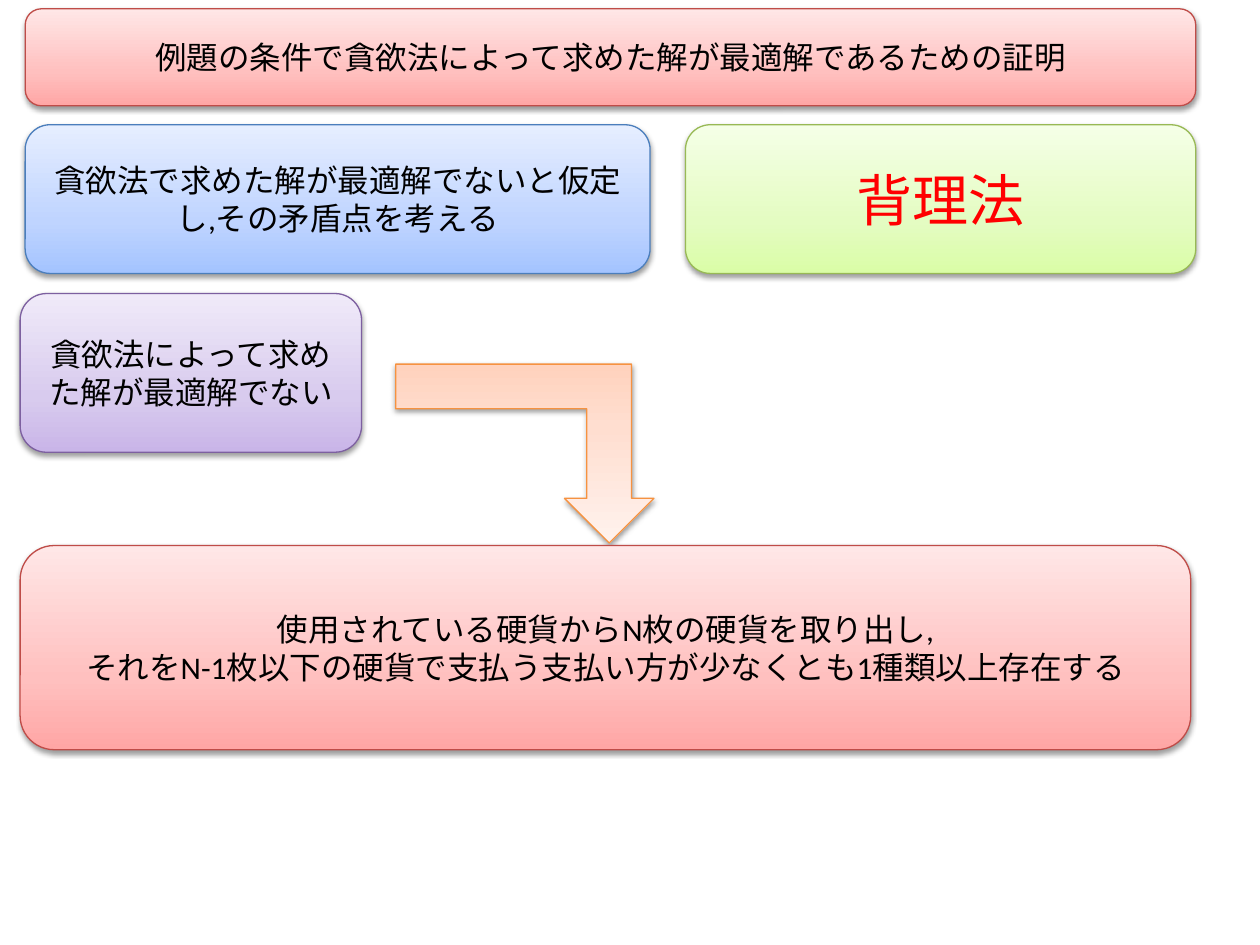
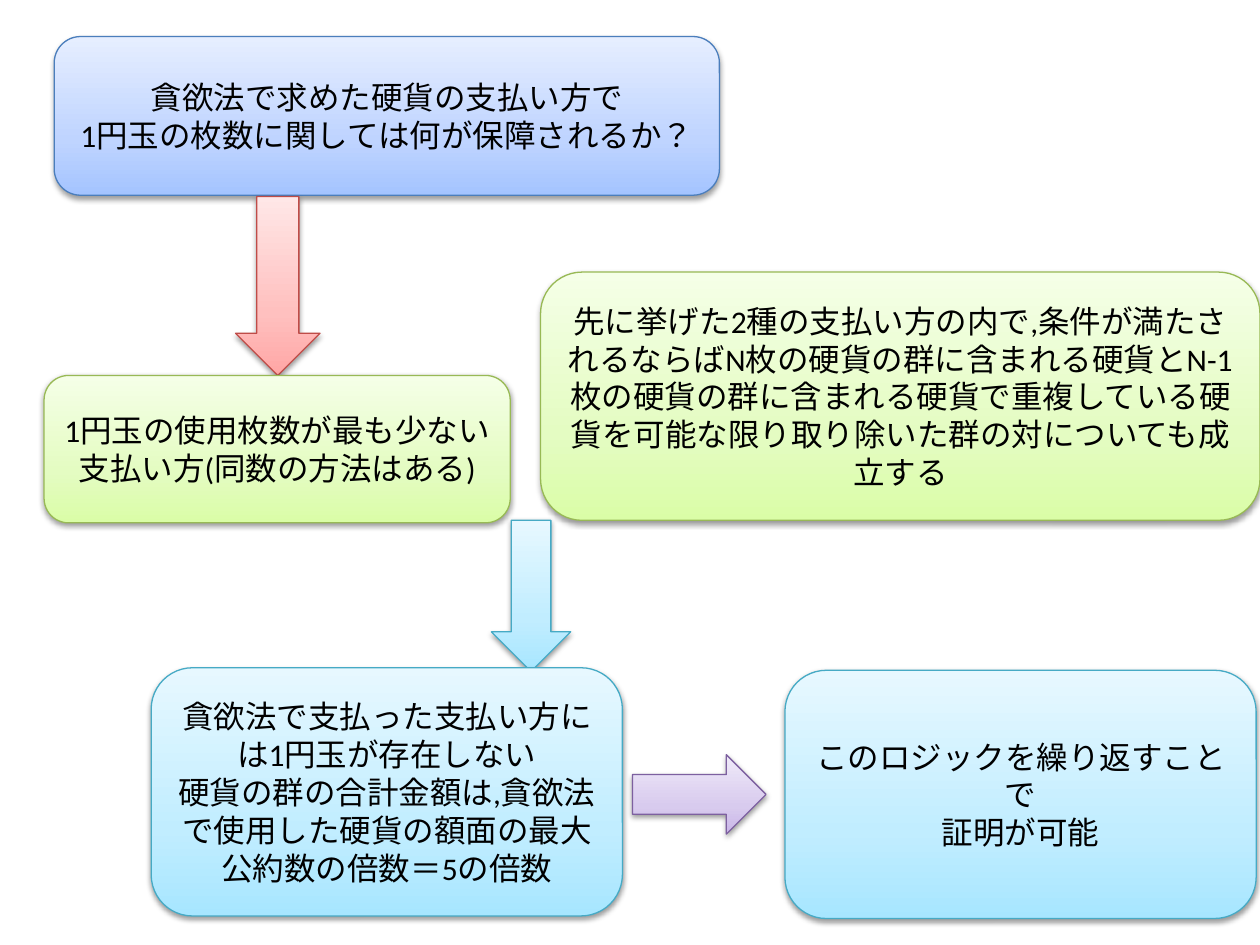
import copy

import pptx
import pptx.dml.color
import pptx.enum.lang
import pptx.enum.shapes
import pptx.enum.text
import pptx.oxml
import pptx.oxml.ns
import pptx.util

EMU_PER_PX = 9144  # 100 px to the inch
SLIDE_WIDTH, SLIDE_HEIGHT = 1000, 750
FONT = "Calibri"
BLANK_LAYOUT = 6
STOP_POSITIONS = (0, 35, 100)

# Gradient from bottom to top, then the outline
COLORS = {
    "red": ("FFA6A5", "FFC0BF", "FFE7E7", "BF4C48"),
    "blue": ("A4C4FF", "BFD4FF", "E6EEFF", "4B7EBC"),
    "purple": ("C9B5E8", "D8CBEE", "F0EAF9", "7D60A0"),
    "green": ("DAFDA7", "E4FCC2", "F5FFE7", "98B955"),
    "orange": ("FFD2BD", "FFDED0", "FFF2ED", "F69240"),
    "cyan": ("A7E6FF", "C1EDFF", "E7F8FF", "46AAC5"),
    "text": "000000",
    "emphasis": "FF0000",
}

SHADOW_XML = (
    f'<a:outerShdw {pptx.oxml.ns.nsdecls("a")} blurRad="40000" dist="20000" '
    'dir="5400000" rotWithShape="0"><a:srgbClr val="000000">'
    '<a:alpha val="38000"/></a:srgbClr></a:outerShdw>'
)

SHAPES = pptx.enum.shapes.MSO_SHAPE


def px(length):
    return pptx.util.Emu(length * EMU_PER_PX)


def rgb(value):
    return pptx.dml.color.RGBColor.from_string(value)


def write_text(shape, *lines, size=18, color="text"):
    """Write one centred paragraph for each line."""
    frame = shape.text_frame
    frame.word_wrap = True
    frame.vertical_anchor = pptx.enum.text.MSO_ANCHOR.MIDDLE
    for index, line in enumerate(lines):
        paragraph = frame.add_paragraph() if index else frame.paragraphs[0]
        paragraph.alignment = pptx.enum.text.PP_ALIGN.CENTER
        run = paragraph.add_run()
        run.text = line
        run.font.name = FONT
        run.font.size = pptx.util.Pt(size)
        run.font.color.rgb = rgb(COLORS[color])
        run.font.language_id = pptx.enum.lang.MSO_LANGUAGE_ID.JAPANESE


class ProofDeck:
    """Holds the shared style and the slide being drawn."""

    def __init__(self):
        self.presentation = pptx.Presentation()
        self.presentation.slide_width = px(SLIDE_WIDTH)
        self.presentation.slide_height = px(SLIDE_HEIGHT)
        self.slide = None

    def new_slide(self):
        layout = self.presentation.slide_layouts[BLANK_LAYOUT]
        self.slide = self.presentation.slides.add_slide(layout)

    def glossy_shape(self, kind, bounds, palette):
        """Add a preset shape with a three-stop gradient and a soft shadow."""
        shape = self.slide.shapes.add_shape(kind, *map(px, bounds))
        *stop_colors, outline = COLORS[palette]
        shape.fill.gradient()
        shape.fill.gradient_angle = 90
        properties = shape._element.spPr
        stop_list = properties.find(".//" + pptx.oxml.ns.qn("a:gsLst"))
        stop_list.append(copy.deepcopy(stop_list[-1]))
        stops = zip(shape.fill.gradient_stops, STOP_POSITIONS, stop_colors)
        for stop, position, color in stops:
            stop.position = position / 100
            stop.color.rgb = rgb(color)
        shape.line.color.rgb = rgb(outline)
        shape.line.width = pptx.util.Pt(0.75)
        shape.shadow.inherit = False
        effects = properties.find(pptx.oxml.ns.qn("a:effectLst"))
        effects.append(pptx.oxml.parse_xml(SHADOW_XML))
        return shape

    def card(self, bounds, palette, *lines, **text_format):
        shape = self.glossy_shape(SHAPES.ROUNDED_RECTANGLE, bounds, palette)
        write_text(shape, *lines, **text_format)

    def arrow(self, kind, bounds, palette, flipped=False):
        shape = self.glossy_shape(kind, bounds, palette)
        if flipped:
            shape._element.spPr.xfrm.set("flipV", "1")


def add_contradiction_slide(deck):
    deck.new_slide()
    deck.card((20, 7, 929, 77), "red",
              "例題の条件で貪欲法によって求めた解が最適解であるための証明")
    deck.card((20, 99, 496, 118), "blue",
              "貪欲法で求めた解が最適解でないと仮定し,その矛盾点を考える")
    deck.card((16, 233, 271, 126), "purple",
              "貪欲法によって求めた解が最適解でない")
    deck.card((544, 99, 405, 118), "green", "背理法",
              size=32, color="emphasis")
    deck.arrow(SHAPES.BENT_UP_ARROW, (314, 289, 205, 142), "orange",
               flipped=True)
    deck.card((16, 433, 929, 162), "red",
              "使用されている硬貨からN枚の硬貨を取り出し,",
              "それをN-1枚以下の硬貨で支払う支払い方が少なくとも1種類以上存在する")


def add_one_yen_slide(deck):
    deck.new_slide()
    deck.card((43, 29, 528, 126), "blue",
              "貪欲法で求めた硬貨の支払い方で",
              "1円玉の枚数に関しては何が保障されるか？")
    deck.arrow(SHAPES.DOWN_ARROW, (187, 156, 67, 142), "red")
    deck.card((35, 298, 370, 117), "green",
              "1円玉の使用枚数が最も少ない支払い方(同数の方法はある)")
    deck.card((429, 216, 571, 197), "green",
              "先に挙げた2種の支払い方の内で,条件が満たされるならば"
              "N枚の硬貨の群に含まれる硬貨とN-1枚の硬貨の群に含まれる硬貨で"
              "重複している硬貨を可能な限り取り除いた群の対についても成立する")
    deck.arrow(SHAPES.DOWN_ARROW, (390, 413, 63, 120), "cyan")
    deck.card((120, 530, 374, 197), "cyan",
              "貪欲法で支払った支払い方には1円玉が存在しない",
              "硬貨の群の合計金額は,貪欲法で使用した硬貨の額面の"
              "最大公約数の倍数＝5の倍数")
    deck.arrow(SHAPES.RIGHT_ARROW, (502, 599, 106, 63), "purple")
    deck.card((623, 532, 374, 197), "cyan",
              "このロジックを繰り返すことで", "証明が可能")


def main():
    deck = ProofDeck()
    add_contradiction_slide(deck)
    add_one_yen_slide(deck)
    deck.presentation.save("out.pptx")


if __name__ == "__main__":
    main()
